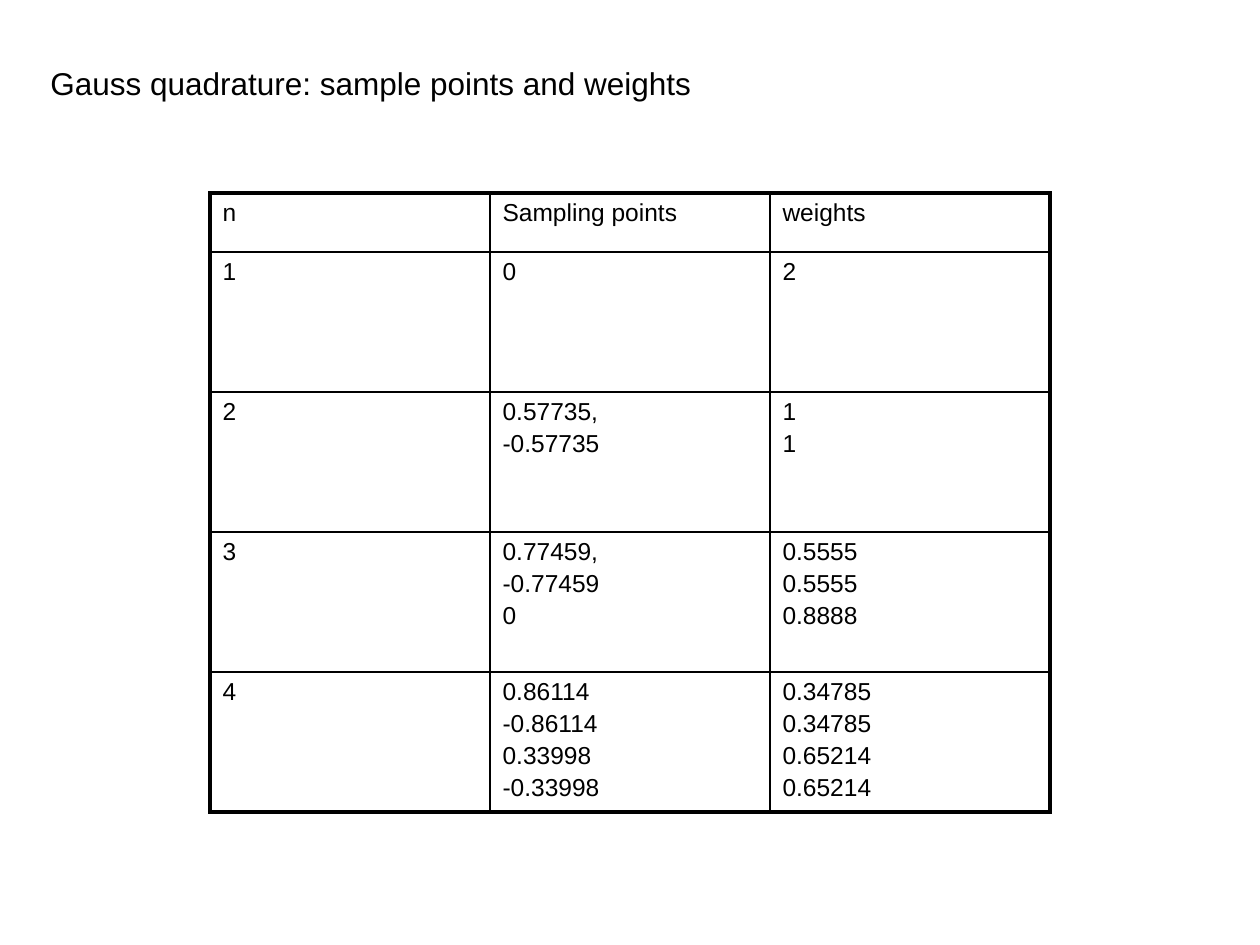
from lxml import etree
from pptx import Presentation
from pptx.dml.color import RGBColor
from pptx.oxml.ns import qn
from pptx.util import Pt

PX = 7257.6
FONT = "Arial"
BLACK = RGBColor(0, 0, 0)
THIN, THICK = 1, 2.25
TITLE = "Gauss quadrature: sample points and weights"
COLUMN_W = 280
HEADER_H, ROW_H = 59, 140
QUADRATURE_ROWS = [
    ("n", "Sampling points", "weights"),
    ("1", "0", "2"),
    ("2", "0.57735,\n-0.57735", "1\n1"),
    ("3", "0.77459,\n-0.77459\n0", "0.5555\n0.5555\n0.8888"),
    ("4", "0.86114\n-0.86114\n0.33998\n-0.33998",
     "0.34785\n0.34785\n0.65214\n0.65214"),
]


def px(n):
    """Turn pixels into EMU."""
    return round(n * PX)


def write_text(tf, text, size, gap=0):
    """Write one paragraph per line, with a gap between paragraphs."""
    tf.text = text
    for i, p in enumerate(tf.paragraphs):
        p.font.name = FONT
        p.font.size = Pt(size)
        p.font.color.rgb = BLACK
        if i:
            p.space_before = Pt(gap)


def add_title(slide, text, x, y, w, h):
    """Add the slide heading."""
    tf = slide.shapes.add_textbox(px(x), px(y), px(w), px(h)).text_frame
    tf.word_wrap = True
    tf.margin_top = px(9)
    write_text(tf, text, 18)


def set_border(cell, side, width):
    """Draw one solid black side of a cell."""
    tc_pr = cell._tc.get_or_add_tcPr()
    ln = etree.SubElement(tc_pr, qn(f"a:ln{side}"), w=str(Pt(width)))
    fill = etree.SubElement(ln, qn("a:solidFill"))
    etree.SubElement(fill, qn("a:srgbClr"), val=str(BLACK))


def add_grid(slide, rows, x, y):
    """Add a table with a thick outer frame and thin inner rules."""
    n_rows, n_cols = len(rows), len(rows[0])
    height = HEADER_H + ROW_H * (n_rows - 1)
    table = slide.shapes.add_table(n_rows, n_cols, px(x), px(y),
                                   px(COLUMN_W * n_cols), px(height)).table
    table.first_row = table.horz_banding = False
    for column in table.columns:
        column.width = px(COLUMN_W)
    for r, values in enumerate(rows):
        table.rows[r].height = px(ROW_H if r else HEADER_H)
        for c, value in enumerate(values):
            cell = table.cell(r, c)
            write_text(cell.text_frame, value, 14, 2.5)
            outer = {"L": c == 0, "R": c == n_cols - 1,
                     "T": r == 0, "B": r == n_rows - 1}
            for side, is_outer in outer.items():
                set_border(cell, side, THICK if is_outer else THIN)
            cell.fill.background()


def main():
    """Build the slide."""
    prs = Presentation()
    prs.slide_width, prs.slide_height = px(1260), px(945)
    slide = prs.slides.add_slide(prs.slide_layouts[6])
    add_grid(slide, QUADRATURE_ROWS, 210, 193)
    add_title(slide, TITLE, 38, 55, 882, 47)
    prs.save("out.pptx")


if __name__ == "__main__":
    main()
